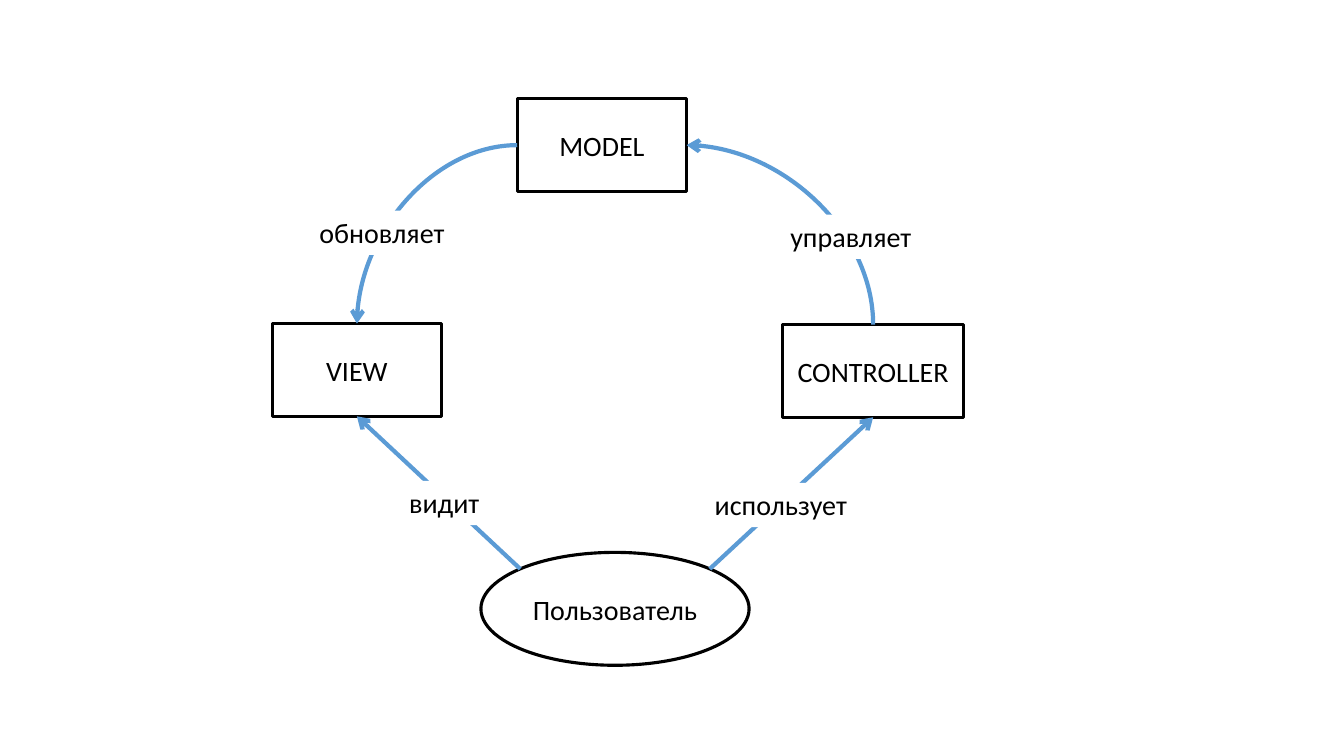
import math

import pptx
import pptx.dml.color
import pptx.enum.shapes
import pptx.enum.text
import pptx.oxml
import pptx.oxml.ns
import pptx.util
from pptx.util import Inches

COLORS = {"ink": "000000", "paper": "FFFFFF", "arrow": "5B9BD5"}
SHAPES = pptx.enum.shapes.MSO_SHAPE
CONNECTORS = pptx.enum.shapes.MSO_CONNECTOR
ALIGN = pptx.enum.text.PP_ALIGN


def color(name):
    return pptx.dml.color.RGBColor.from_string(COLORS[name])


class Diagram:
    """Holds the style and the current slide."""

    font = "Calibri"
    text_size = pptx.util.Pt(20)
    outline_width = pptx.util.Pt(2.25)
    arrow_width = pptx.util.Pt(3)

    def __init__(self, slide):
        self.slide = slide

    def set_text(self, shape, text, alignment):
        paragraph = shape.text_frame.paragraphs[0]
        paragraph.text = text
        paragraph.alignment = alignment
        font = paragraph.runs[0].font
        font.name, font.size = self.font, self.text_size
        font.color.rgb = color("ink")

    def node(self, kind, text, left, top, width, height):
        shape = self.slide.shapes.add_shape(
            kind, Inches(left), Inches(top), Inches(width), Inches(height))
        shape.shadow.inherit = False
        shape.fill.background()
        shape.line.color.rgb = color("ink")
        shape.line.width = self.outline_width
        shape.text_frame.vertical_anchor = pptx.enum.text.MSO_ANCHOR.MIDDLE
        self.set_text(shape, text, ALIGN.CENTER)
        return shape

    def label(self, text, left, top, width):
        box = self.slide.shapes.add_textbox(
            Inches(left), Inches(top), Inches(width), Inches(0.44))
        box.fill.solid()
        box.fill.fore_color.rgb = color("paper")
        box.text_frame.word_wrap = False
        box.text_frame.auto_size = pptx.enum.text.MSO_AUTO_SIZE.SHAPE_TO_FIT_TEXT
        self.set_text(box, text, ALIGN.LEFT)

    def arrow(self, start, end, kind=CONNECTORS.STRAIGHT):
        connector = self.slide.shapes.add_connector(kind, *start, *end)
        connector.line.color.rgb = color("arrow")
        connector.line.width = self.arrow_width
        properties = connector._element.spPr
        namespace = pptx.oxml.ns.nsdecls("a")
        properties.find(pptx.oxml.ns.qn("a:ln")).append(
            pptx.oxml.parse_xml(f'<a:tailEnd {namespace} type="arrow"/>'))
        properties.append(pptx.oxml.parse_xml(f'<a:effectLst {namespace}/>'))
        return properties

    def curve(self, start, end):
        """Quarter curve that leaves sideways and arrives vertically."""
        properties = self.arrow(start, end, CONNECTORS.CURVE)
        properties.find(pptx.oxml.ns.qn("a:prstGeom")).set("prst", "curvedConnector2")
        return properties

    def rising_curve(self, start, end):
        """Quarter curve that leaves upwards: a sideways one turned by 270 degrees."""
        center_x, center_y = (start[0] + end[0]) // 2, (start[1] + end[1]) // 2
        half_width, half_height = abs(start[1] - end[1]) // 2, abs(start[0] - end[0]) // 2
        properties = self.curve((center_x - half_width, center_y + half_height),
                                (center_x + half_width, center_y - half_height))
        properties.find(pptx.oxml.ns.qn("a:xfrm")).set("rot", str(270 * 60000))


def site(shape, across, down):
    """Point on a shape; (-1, -1) is its top left and (1, 1) its bottom right."""
    return (int(shape.left + shape.width * (1 + across) / 2),
            int(shape.top + shape.height * (1 + down) / 2))


presentation = pptx.Presentation()
presentation.slide_width = Inches(13.33)
presentation.slide_height = Inches(7.5)
diagram = Diagram(presentation.slides.add_slide(presentation.slide_layouts[6]))

# Components and user
model = diagram.node(SHAPES.RECTANGLE, "MODEL", 5.13, 0.98, 1.68, 0.92)
controller = diagram.node(SHAPES.RECTANGLE, "CONTROLLER", 7.76, 3.22, 1.8, 0.92)
view = diagram.node(SHAPES.RECTANGLE, "VIEW", 2.7, 3.21, 1.68, 0.92)
user = diagram.node(SHAPES.OVAL, "Пользователь", 4.77, 5.48, 2.66, 1.12)

# Arrows between them
diagonal = math.sqrt(0.5)
diagram.arrow(site(user, -diagonal, -diagonal), site(view, 0, 1))
diagram.arrow(site(user, diagonal, -diagonal), site(controller, 0, 1))
diagram.curve(site(model, -1, 0), site(view, 0, -1))
diagram.rising_curve(site(controller, 0, -1), site(model, 1, 0))

# Labels over the arrows
for text, left, top, width in (
    ("видит", 3.96, 4.77, 0.9),
    ("использует", 6.99, 4.79, 1.52),
    ("обновляет", 3.07, 2.09, 1.45),
    ("управляет", 7.74, 2.13, 1.41),
):
    diagram.label(text, left, top, width)

presentation.save("out.pptx")
